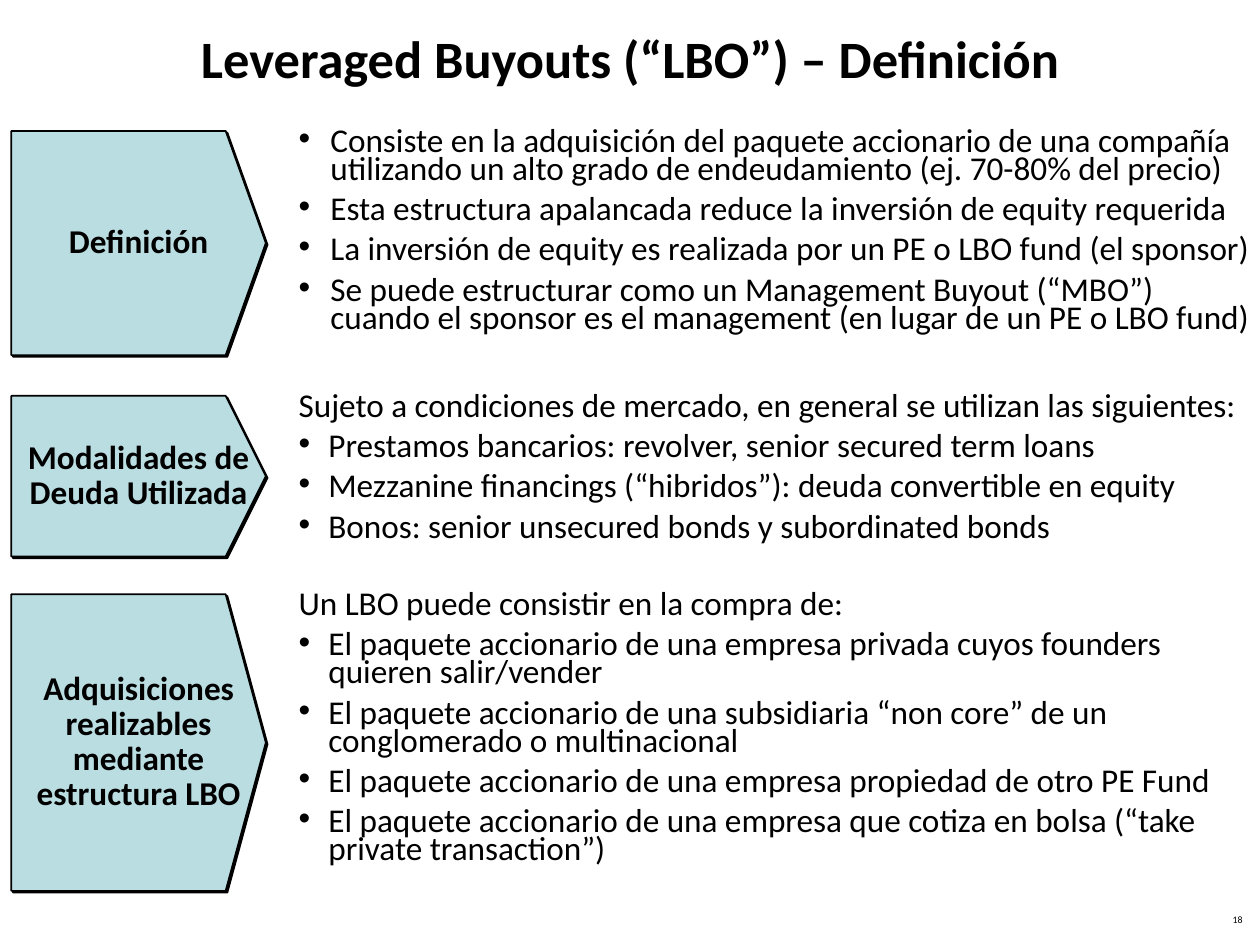
import pptx
import pptx.util
import pptx.dml.color
import pptx.enum.text
import pptx.oxml
import pptx.oxml.ns

Cm = pptx.util.Cm
Pt = pptx.util.Pt
ALIGN = pptx.enum.text.PP_ALIGN
ANCHOR = pptx.enum.text.MSO_ANCHOR

BLACK = pptx.dml.color.RGBColor(0x00, 0x00, 0x00)
TEAL = pptx.dml.color.RGBColor(0xBA, 0xDD, 0xE1)
FACE = "Calibri"
NS = pptx.oxml.ns.nsdecls("a")

ARROW_LEFT, ARROW_WIDTH, POINT = 0.23, 5.13, 0.81
LIST_LEFT, LIST_WIDTH, LIST_RISE = 5.77, 19.75, 0.15

# label, arrow top, arrow height, list height, indent, lead line, bullets
ROWS = [
    ("Definición", 2.64, 4.52, 4.67, 0.64, None, [
        "Consiste en la adquisición del paquete accionario de una compañía "
        "utilizando un alto grado de endeudamiento (ej. 70-80% del precio)",
        "Esta estructura apalancada reduce la inversión de equity requerida",
        "La inversión de equity es realizada por un PE o LBO fund (el sponsor)",
        "Se puede estructurar como un Management Buyout (“MBO”) cuando el "
        "sponsor es el management (en lugar de un PE o LBO fund)",
    ]),
    ("Modalidades de Deuda Utilizada", 7.98, 3.24, 3.53, 0.6,
     "Sujeto a condiciones de mercado, en general se utilizan las siguientes:", [
         "Prestamos bancarios: revolver, senior secured term loans",
         "Mezzanine financings (“hibridos”): deuda convertible en equity",
         "Bonos: senior unsecured bonds y subordinated bonds",
     ]),
    ("Adquisiciones realizables mediante estructura LBO", 11.98, 5.98, 6.12, 0.6,
     "Un LBO puede consistir en la compra de:", [
         "El paquete accionario de una empresa privada cuyos founders "
         "quieren salir/vender",
         "El paquete accionario de una subsidiaria “non core” de un "
         "conglomerado o multinacional",
         "El paquete accionario de una empresa propiedad de otro PE Fund",
         "El paquete accionario de una empresa que cotiza en bolsa (“take "
         "private transaction”)",
     ]),
]


def place(shape, left, top, width, height):
    shape.left, shape.top = Cm(left), Cm(top)
    shape.width, shape.height = Cm(width), Cm(height)


def set_frame(shape, anchor, side=0.25):
    frame = shape.text_frame
    frame.word_wrap = True
    frame.auto_size = pptx.enum.text.MSO_AUTO_SIZE.NONE
    frame.vertical_anchor = anchor
    frame.margin_left = frame.margin_right = Cm(side)
    frame.margin_top = frame.margin_bottom = Cm(0.13)
    return frame


def add_run(para, text, size, bold=False):
    run = para.add_run()
    run.text = text
    font = run.font
    font.name, font.size, font.bold = FACE, Pt(size), bold
    font.color.rgb = BLACK


def set_bullet(para, indent):
    props = para._p.get_or_add_pPr()
    props.set("marL", str(Cm(indent)))
    props.set("indent", str(-Cm(indent)))
    marks = ['<a:buNone %s/>']
    if indent:
        marks = ['<a:buClr %s><a:srgbClr val="000000"/></a:buClr>',
                 '<a:buFont %s typeface="Arial"/>',
                 '<a:buChar %s char="•"/>']
    for mark in marks:
        props.append(pptx.oxml.parse_xml(mark % NS))


def add_title(title, box):
    place(title, *box)
    para = set_frame(title, ANCHOR.MIDDLE).paragraphs[0]
    para.alignment = ALIGN.CENTER
    add_run(para, "Leveraged Buyouts (“LBO”) – Definición", 30, True)


def add_arrow(slide, box, label):
    left, top, width, height = box
    neck = left + width - POINT
    low = top + height
    build = slide.shapes.build_freeform(Cm(left), Cm(top))
    build.add_line_segments([
        (Cm(neck), Cm(top)), (Cm(left + width), Cm(top + height / 2)),
        (Cm(neck), Cm(low)), (Cm(left), Cm(low))], close=True)
    arrow = build.convert_to_shape()
    arrow.fill.solid()
    arrow.fill.fore_color.rgb = TEAL
    arrow.line.color.rgb = BLACK
    arrow.line.width = Pt(1)
    # Hard shadow, down and to the right
    arrow._element.spPr.append(pptx.oxml.parse_xml(
        '<a:effectLst %s><a:outerShdw dist="%d" dir="2700000" algn="ctr" '
        'rotWithShape="0"><a:srgbClr val="000000"/></a:outerShdw>'
        '</a:effectLst>' % (NS, Pt(1.4))))
    para = set_frame(arrow, ANCHOR.MIDDLE, 0).paragraphs[0]
    para.alignment = ALIGN.CENTER
    para.line_spacing = Pt(20)
    add_run(para, label, 19, True)


def add_list(body, box, indent, lead, points):
    place(body, *box)
    frame = set_frame(body, ANCHOR.TOP)
    lines = [(lead, 0)] if lead else []
    lines += [(point, indent) for point in points]
    for i, (text, inset) in enumerate(lines):
        para = frame.add_paragraph() if i else frame.paragraphs[0]
        set_bullet(para, inset)
        para.alignment = ALIGN.LEFT
        para.line_spacing = 0.7
        para.space_before = Pt(7.1 if i else 0)
        add_run(para, text, 19)


def add_number(slide, box):
    shape = slide.shapes.add_textbox(*(Cm(side) for side in box))
    para = set_frame(shape, ANCHOR.TOP).paragraphs[0]
    para.alignment = ALIGN.RIGHT
    para.line_spacing = 0.8
    add_run(para, "18", 5.6)


def main():
    deck = pptx.Presentation()
    deck.slide_width, deck.slide_height = Cm(25.4), Cm(19.05)
    # The comparison layout has a title and four bodies
    slide = deck.slides.add_slide(deck.slide_layouts[4])
    title, *bodies = slide.placeholders
    add_title(title, (0.91, 0, 23.6, 2.31))
    # One arrow and one list per row
    for body, row in zip(bodies, ROWS):
        label, top, height, depth, indent, lead, points = row
        add_arrow(slide, (ARROW_LEFT, top, ARROW_WIDTH, height), label)
        add_list(body, (LIST_LEFT, top - LIST_RISE, LIST_WIDTH, depth),
                 indent, lead, points)
    # Unused body
    spare = bodies[-1]._element
    spare.getparent().remove(spare)
    add_number(slide, (19.38, 18.34, 5.92, 0.53))
    deck.save("out.pptx")


if __name__ == "__main__":
    main()
